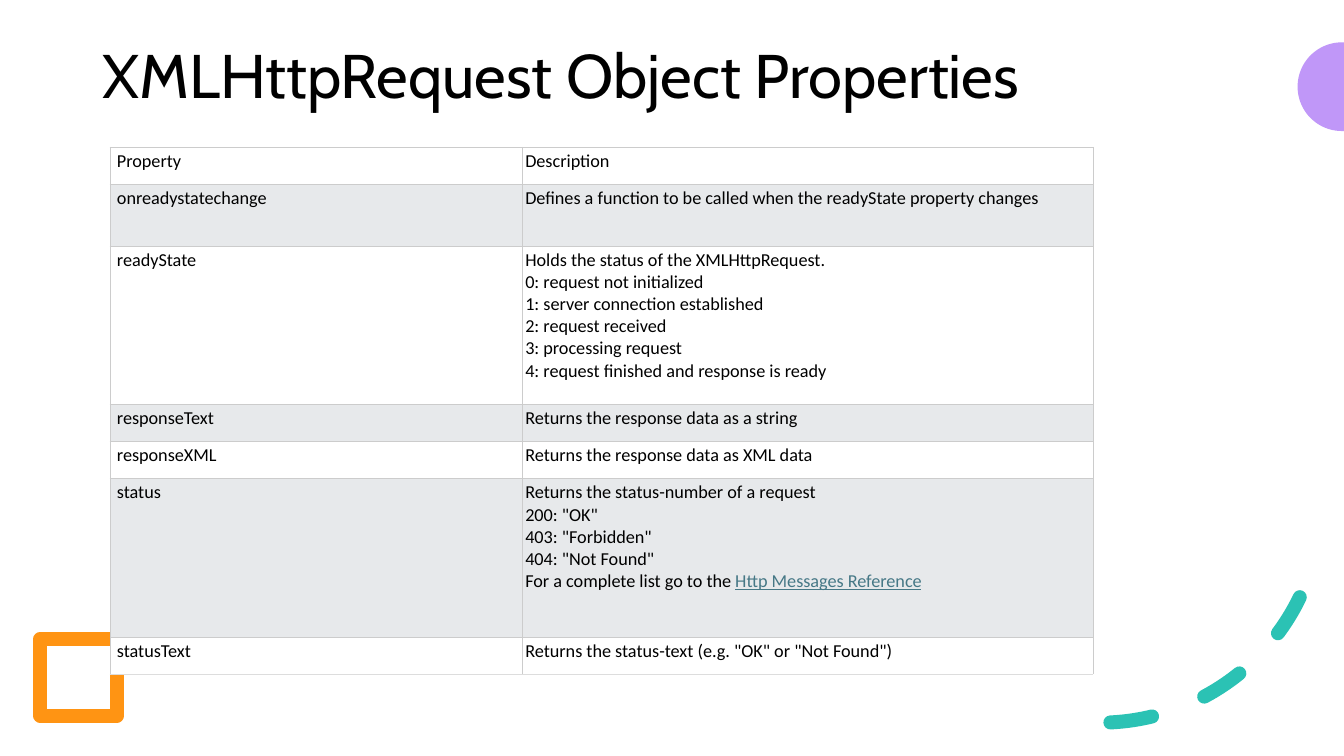
import math

import pptx
import pptx.dml.color
import pptx.enum.dml
import pptx.enum.shapes
import pptx.enum.text
import pptx.oxml
import pptx.oxml.ns
import pptx.util
from pptx.util import Inches

INK, LINK, GRID, FOOT = "000000", "467886", "CCCCCC", "DDDDDD"
BANDS = ("FFFFFF", "E7E9EB")
COLS = (4.09, 5.66)
# Row height, property, description lines
ROWS = [
    (0.37, "Property", ["Description"]),
    (0.61, "onreadystatechange",
     ["Defines a function to be called when the readyState property changes"]),
    (1.57, "readyState",
     ["Holds the status of the XMLHttpRequest.",
      "0: request not initialized",
      "1: server connection established",
      "2: request received",
      "3: processing request",
      "4: request finished and response is ready"]),
    (0.37, "responseText", ["Returns the response data as a string"]),
    (0.37, "responseXML", ["Returns the response data as XML data"]),
    (1.57, "status",
     ["Returns the status-number of a request",
      '200: "OK"',
      '403: "Forbidden"',
      '404: "Not Found"',
      ("For a complete list go to the ", "Http Messages Reference")]),
    (0.37, "statusText", ['Returns the status-text (e.g. "OK" or "Not Found")']),
]


def color(code):
    return pptx.dml.color.RGBColor.from_string(code)


def apply(item, values):
    for name, value in values.items():
        setattr(item, name, value)


def write(para, text, size, face, ink=INK, **extra):
    run = para.add_run()
    run.text = text
    apply(run.font, {"size": pptx.util.Pt(size), "name": face, **extra})
    run.font.color.rgb = color(ink)


def add_title(slide, text):
    title = slide.shapes.title
    apply(title, {"left": Inches(0.92), "top": Inches(0.4),
                  "width": Inches(11.5), "height": Inches(1.45)})
    frame = title.text_frame
    apply(frame, {"vertical_anchor": pptx.enum.text.MSO_ANCHOR.TOP,
                  "auto_size": pptx.enum.text.MSO_AUTO_SIZE.NONE,
                  "word_wrap": True})
    para = frame.paragraphs[0]
    apply(para, {"alignment": pptx.enum.text.PP_ALIGN.LEFT, "line_spacing": 0.9})
    write(para, text, 44, "Cabin")


def add_outline(slide, kind, left, top, size, ink, dash=None):
    """Add an unfilled shape with a thick, round-joined line."""
    shape = slide.shapes.add_shape(
        kind, Inches(left), Inches(top), Inches(size), Inches(size))
    shape.shadow.inherit = False
    shape.fill.background()
    line = shape.line
    line.color.rgb = color(ink)
    apply(line, {"width": pptx.util.Pt(10), "dash_style": dash})
    edge = shape.element.spPr.find(pptx.oxml.ns.qn("a:ln"))
    edge.set("cap", "rnd")
    edge.append(pptx.oxml.parse_xml(
        f"<a:round {pptx.oxml.ns.nsdecls('a')}/>"))
    return shape


def add_arc(slide):
    arc = add_outline(slide, pptx.enum.shapes.MSO_SHAPE.ARC, 8.71, 2.77, 4.4,
                      "2BC2B4", pptx.enum.dml.MSO_LINE.DASH)
    arc.adjustments[0] = 162
    arc.adjustments[1] = 200.93
    arc.rotation = 357.3
    arc.element.spPr.find(pptx.oxml.ns.qn("a:xfrm")).set("flipV", "1")


def add_disc(slide, x, y, radius, edge, ink):
    """Add a disc that is cut off at the right edge."""
    turns = [math.radians(90 + 3 * step) for step in range(61)]
    points = [(Inches(x + radius * math.cos(turn)),
               Inches(y + radius * math.sin(turn))) for turn in turns]
    points += [(Inches(edge), Inches(y - radius)),
               (Inches(edge), Inches(y + radius))]
    form = slide.shapes.build_freeform(*points[0])
    form.add_line_segments(points[1:], close=True)
    disc = form.convert_to_shape()
    disc.shadow.inherit = False
    disc.fill.solid()
    disc.fill.fore_color.rgb = color(ink)
    disc.line.fill.background()


def add_borders(cell, base):
    props = cell._tc.get_or_add_tcPr()
    for place, side in enumerate("LRTB"):
        ink = base if side == "B" else GRID
        props.insert(place, pptx.oxml.parse_xml(
            f'<a:ln{side} {pptx.oxml.ns.nsdecls("a")} w="5460"><a:solidFill>'
            f'<a:srgbClr val="{ink}"/></a:solidFill></a:ln{side}>'))


def fill_cell(cell, lines, left, band, base):
    pad = Inches(0.03)
    apply(cell, {"margin_left": Inches(left), "margin_right": pad,
                 "margin_top": pad, "margin_bottom": pad})
    cell.fill.solid()
    cell.fill.fore_color.rgb = color(band)
    add_borders(cell, base)
    frame = cell.text_frame
    for index, line in enumerate(lines):
        para = frame.add_paragraph() if index else frame.paragraphs[0]
        text, link = line if isinstance(line, tuple) else (line, "")
        write(para, text, 13, "Calibri")
        if link:
            write(para, link, 13, "Calibri", LINK, underline=True)


def add_grid(slide):
    high = sum(row[0] for row in ROWS)
    table = slide.shapes.add_table(
        len(ROWS), len(COLS), Inches(1.09), Inches(1.46),
        Inches(sum(COLS)), Inches(high)).table
    apply(table, {"first_row": False, "horz_banding": False})
    for col, width in zip(table.columns, COLS):
        col.width = Inches(width)
    for index, (height, name, lines) in enumerate(ROWS):
        table.rows[index].height = Inches(height)
        band = BANDS[index % 2]
        base = FOOT if index == len(ROWS) - 1 else GRID
        fill_cell(table.cell(index, 0), [name], 0.07, band, base)
        fill_cell(table.cell(index, 1), lines, 0.03, band, base)


def main():
    deck = pptx.Presentation()
    apply(deck, {"slide_width": Inches(13.33), "slide_height": Inches(7.5)})
    slide = deck.slides.add_slide(deck.slide_layouts[5])
    # Decoration
    add_outline(slide, pptx.enum.shapes.MSO_SHAPE.RECTANGLE,
                0.4, 6.34, 0.76, "FF9413")
    add_arc(slide)
    add_disc(slide, 13.31, 0.86, 0.44, 13.33, "C097F8")
    # Content
    add_title(slide, "XMLHttpRequest Object Properties")
    add_grid(slide)
    deck.save("out.pptx")


if __name__ == "__main__":
    main()
